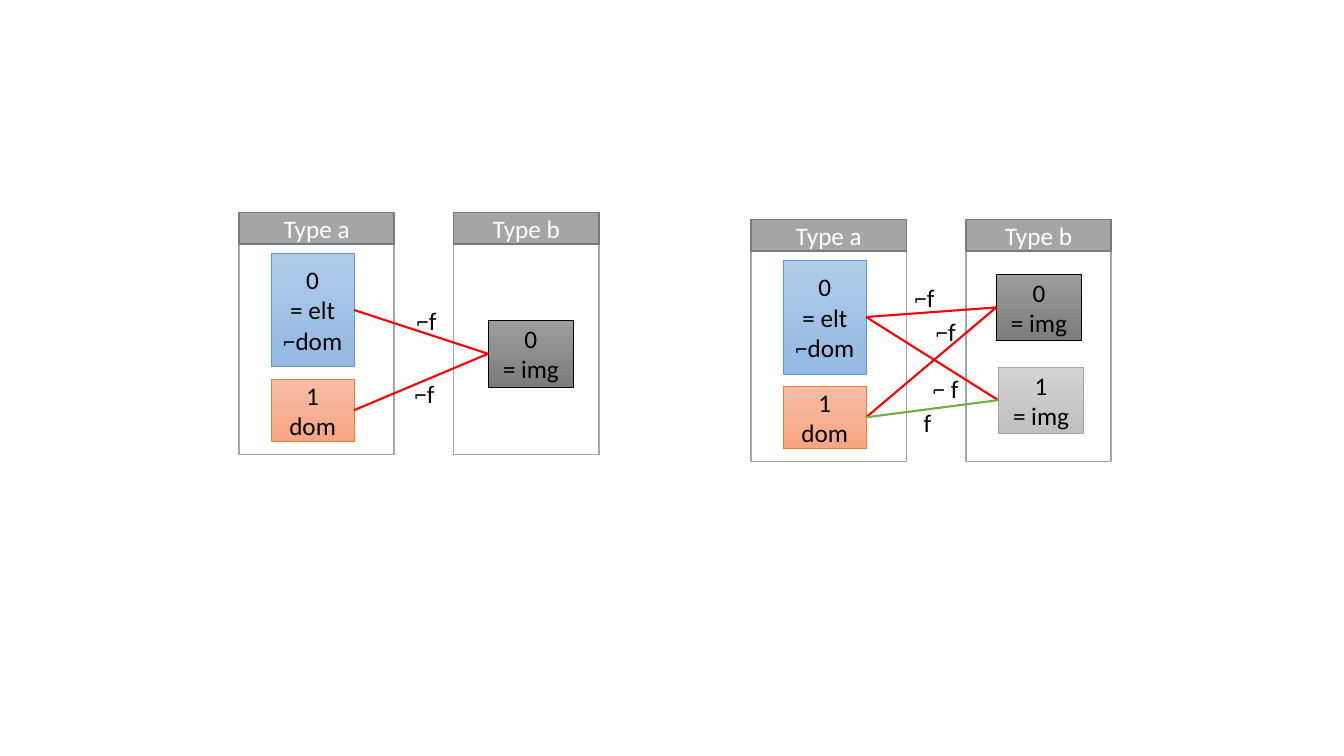
from collections import namedtuple
from dataclasses import dataclass
from lxml.etree import SubElement
from pptx import Presentation
from pptx.dml.color import RGBColor as Color
from pptx.enum.shapes import MSO_CONNECTOR as Connector, MSO_SHAPE as Shape
from pptx.enum.text import MSO_ANCHOR as Anchor, PP_ALIGN as Align
from pptx.oxml.ns import qn
from pptx.util import Inches, Pt

Box = namedtuple("Box", "left top width height")
Style = namedtuple("Style", "colors line")


@dataclass(frozen=True)
class Theme:
    font: str = "Calibri"
    text_size: float = 18
    panel_line: float = 1
    node_line: float = 0.5
    link_line: float = 1.5
    black: str = "000000"
    white: str = "FFFFFF"
    negative: str = "FF0000"
    positive: str = "70AD47"
    panel: Style = Style(["FFFFFF"], "A5A5A5")
    header: Style = Style(["A5A5A5"], "7A7A7A")
    element: Style = Style(["B1CBE9", "93B9E4"], "5B9BD5")
    domain: Style = Style(["F7BDA5", "F8A582"], "ED7D31")
    dark_image: Style = Style(["9D9D9D", "7C7C7C"], "000000")
    light_image: Style = Style(["D2D2D2", "C0C0C0"], "A5A5A5")


THEME = Theme()
RIGHT_SITE, LEFT_SITE = 3, 1
HEADER_HEIGHT = 0.31


def inside(box, left, top, width, height):
    return Box(box.left + left, box.top + top, width, height)


def write(shape, text, color):
    frame = shape.text_frame
    frame.text = text
    frame.word_wrap = True
    for para in frame.paragraphs:
        para.alignment = Align.CENTER
        for span in para.runs:
            span.font.name = THEME.font
            span.font.size = Pt(THEME.text_size)
            span.font.color.rgb = Color.from_string(color)


def add_box(page, box, style, line_width, text="", color=THEME.black):
    shape = page.shapes.add_shape(Shape.RECTANGLE, *map(Inches, box))
    shape.shadow.inherit = False
    if len(style.colors) == 1:
        shape.fill.solid()
        shape.fill.fore_color.rgb = Color.from_string(style.colors[0])
    else:
        shape.fill.gradient()
        shape.fill.gradient_angle = 270
        for stop, shade in zip(shape.fill.gradient_stops, style.colors):
            stop.color.rgb = Color.from_string(shade)
    shape.line.color.rgb = Color.from_string(style.line)
    shape.line.width = Pt(line_width)
    if text:
        write(shape, text, color)
        shape.text_frame.vertical_anchor = Anchor.MIDDLE
        shape.text_frame.margin_top = shape.text_frame.margin_bottom = 0
    return shape


def add_panel(page, box, title):
    body = inside(box, 0, HEADER_HEIGHT, box.width, box.height - HEADER_HEIGHT)
    header = inside(box, 0, 0, box.width, HEADER_HEIGHT)
    add_box(page, body, THEME.panel, THEME.panel_line)
    add_box(page, header, THEME.header, THEME.panel_line, title, THEME.white)


def add_link(page, source, target, color):
    link = page.shapes.add_connector(Connector.STRAIGHT, 0, 0, 0, 0)
    link.begin_connect(source, RIGHT_SITE)
    link.end_connect(target, LEFT_SITE)
    link.line.color.rgb = Color.from_string(color)
    link.line.width = Pt(THEME.link_line)
    SubElement(link._element.spPr, qn("a:effectLst"))


def add_label(page, box, text):
    label = page.shapes.add_textbox(*map(Inches, box))
    write(label, text, THEME.black)


def add_relation(page, box, images, links, labels):
    add_panel(page, inside(box, 0, 0, 1.54, box.height), "Type a")
    add_panel(page, inside(box, 2.13, 0, 1.44, box.height), "Type b")
    nodes = {
        "element": add_box(page, inside(box, 0.32, 0.4, 0.82, 1.13), THEME.element,
                           THEME.node_line, "0\n= elt\n⌐dom"),
        "domain": add_box(page, inside(box, 0.32, 1.65, 0.82, 0.62), THEME.domain,
                          THEME.node_line, "1\ndom"),
    }
    for number, (left, top, style) in enumerate(images):
        nodes[number] = add_box(page, inside(box, left, top, 0.85, 0.66), style,
                                THEME.node_line, f"{number}\n= img")
    for source, target, color in links:
        add_link(page, nodes[source], nodes[target], color)
    for left, top, width, text in labels:
        add_label(page, inside(box, left, top, width, 0.4), text)


deck = Presentation()
deck.slide_width, deck.slide_height = Inches(13.33), Inches(7.5)
page = deck.slides.add_slide(deck.slide_layouts[6])
add_relation(
    page, Box(2.37, 2.11, 3.57, 2.4),
    images=[(2.47, 1.07, THEME.dark_image)],
    links=[("element", 0, THEME.negative), ("domain", 0, THEME.negative)],
    labels=[(1.39, 0.87, 0.94, "⌐f"), (1.37, 1.59, 0.94, "⌐f")],
)
add_relation(
    page, Box(7.45, 2.18, 3.57, 2.4),
    images=[(2.43, 0.54, THEME.dark_image), (2.45, 1.46, THEME.light_image)],
    links=[("element", 0, THEME.negative), ("domain", 0, THEME.negative),
           ("element", 1, THEME.negative), ("domain", 1, THEME.positive)],
    labels=[(1.25, 0.57, 0.94, "⌐f"), (1.46, 0.91, 0.94, "⌐f"),
            (1.28, 1.81, 0.94, "f"), (1.55, 1.47, 0.76, "⌐ f")],
)
deck.save("out.pptx")
